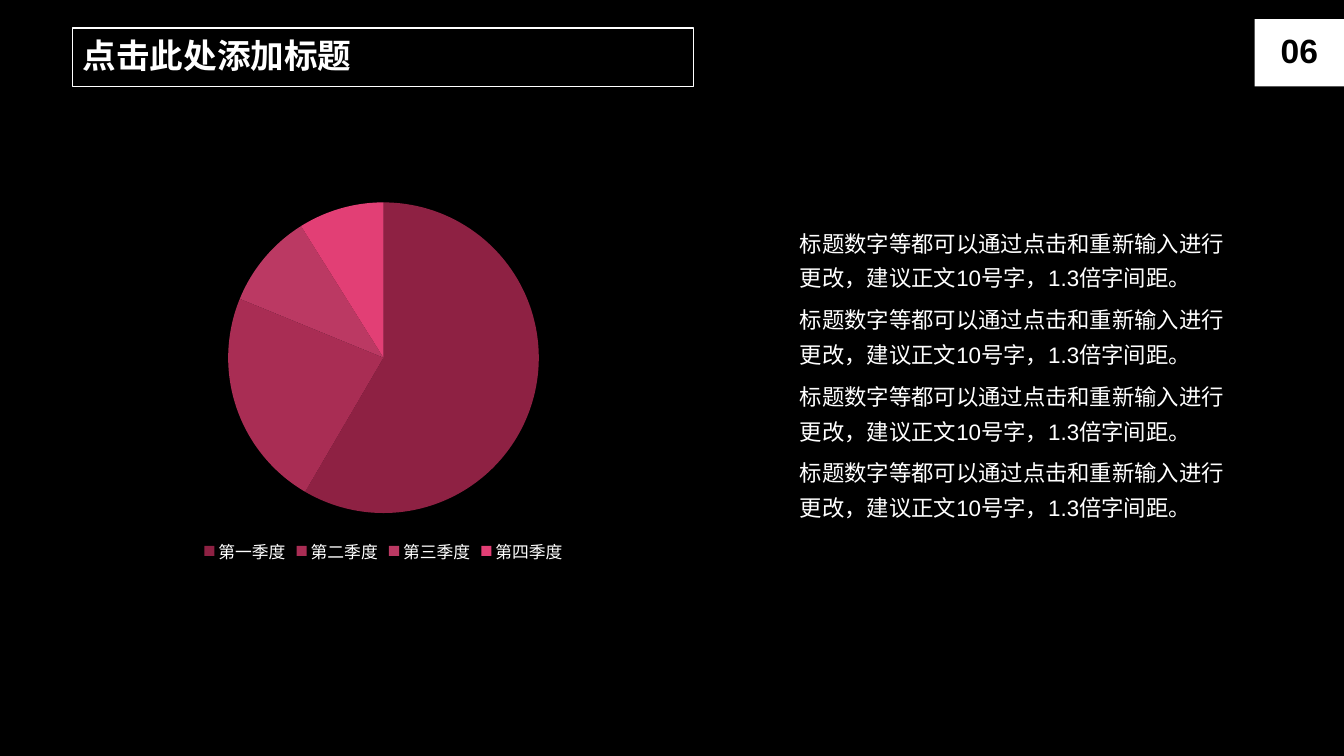
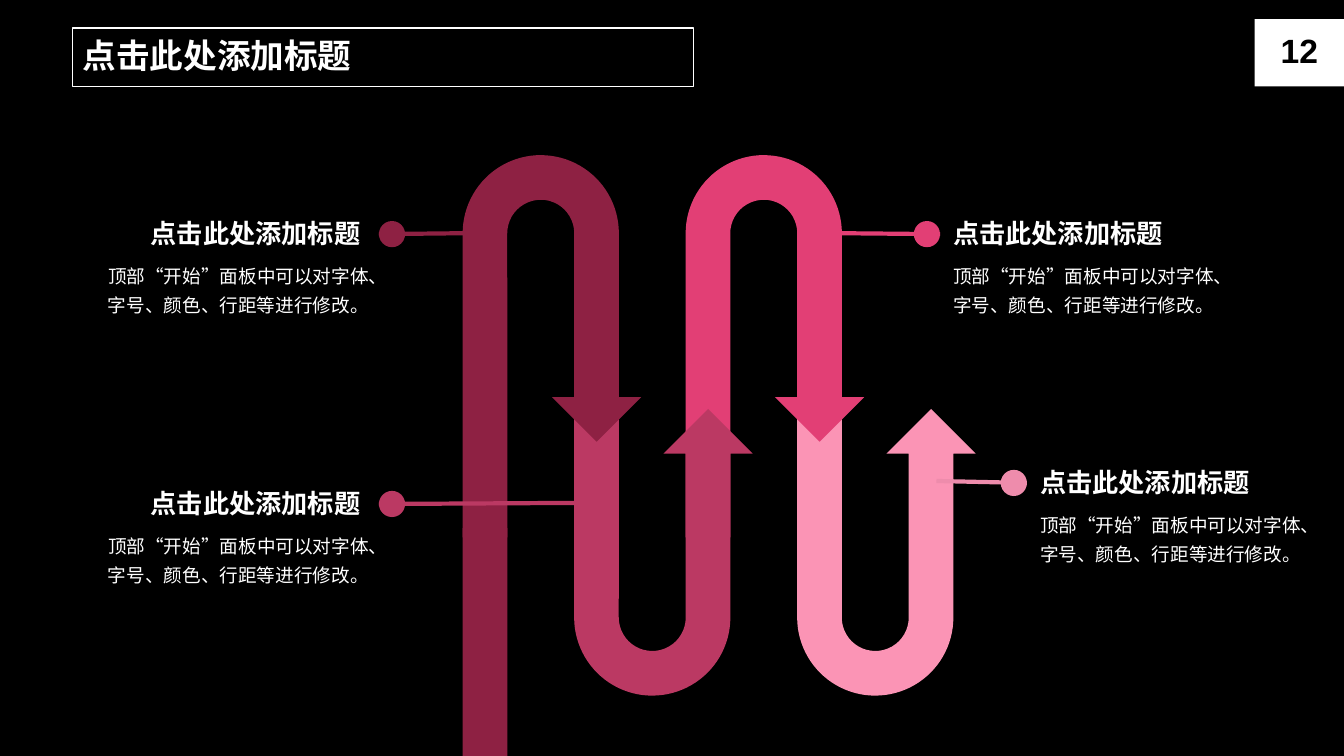
from typing import NamedTuple

from lxml.etree import SubElement
from pptx import Presentation
from pptx.chart.data import CategoryChartData
from pptx.dml.color import RGBColor
from pptx.enum.chart import XL_CHART_TYPE as ChartType, XL_LEGEND_POSITION as LegendPosition
from pptx.enum.shapes import MSO_CONNECTOR as Connector, MSO_SHAPE as Shape
from pptx.enum.text import MSO_ANCHOR as Anchor, MSO_AUTO_SIZE as AutoSize, PP_ALIGN as Align
from pptx.oxml.ns import qn
from pptx.util import Cm, Pt

FONT = "Arial"
BLACK, WHITE = "000000", "FFFFFF"
WINE, RUBY, ROSE, PINK, PALE, DUSTY = "8E2143", "A92D54", "BB3963", "E23F75", "FB94B5", "EE8CAC"

TITLE = "点击此处添加标题"
NOTE = "标题数字等都可以通过点击和重新输入进行更改，建议正文10号字，1.3倍字间距。"
HINT = "顶部“开始”面板中可以对字体、字号、颜色、行距等进行修改。"


class Box(NamedTuple):
    """A rectangle in centimetres."""
    left: float
    top: float
    width: float
    height: float

    def lengths(self):
        return [Cm(value) for value in self]


SLIDE = Box(0, 0, 33.87, 19.05)
TITLE_BOX = Box(1.83, 0.71, 15.65, 1.47)
BADGE_BOX = Box(31.62, 0.48, 2.25, 1.7)


def color(hex_value):
    return RGBColor.from_string(hex_value)


def write(frame, text, size=16, ink=WHITE, bold=False, align=Align.LEFT,
          spacing=1.0, before=0, anchor=Anchor.TOP, wrap=True, fit=AutoSize.NONE):
    frame.word_wrap = wrap
    frame.auto_size = fit
    frame.vertical_anchor = anchor
    paragraph = frame.paragraphs[0]
    paragraph.alignment = align
    paragraph.line_spacing = spacing
    paragraph.space_before = Pt(before)
    run = paragraph.add_run()
    run.text = text
    run.font.name = FONT
    run.font.size = Pt(size)
    run.font.bold = bold
    run.font.color.rgb = color(ink)


def add_text(slide, box, text, **style):
    shape = slide.shapes.add_textbox(*box.lengths())
    write(shape.text_frame, text, fit=AutoSize.SHAPE_TO_FIT_TEXT, **style)


def add_filled(slide, kind, box, fill):
    shape = slide.shapes.add_shape(kind, *box.lengths())
    shape.shadow.inherit = False
    shape.fill.solid()
    shape.fill.fore_color.rgb = color(fill)
    shape.line.fill.background()
    return shape


def add_line(slide, start, end, ink):
    line = slide.shapes.add_connector(Connector.STRAIGHT, *(Cm(v) for v in (*start, *end)))
    line.line.color.rgb = color(ink)
    line.line.width = Pt(3)
    SubElement(line.element.spPr, qn("a:effectLst"))


def new_slide(presentation, number):
    """Slide with the framed title and the page badge."""
    slide = presentation.slides.add_slide(presentation.slide_layouts[5])
    heading = dict(size=24, bold=True, spacing=0.9, before=10, anchor=Anchor.MIDDLE)
    title = slide.shapes.title
    title.left, title.top, title.width, title.height = TITLE_BOX.lengths()
    title.line.color.rgb = color(WHITE)
    title.line.width = Pt(1)
    write(title.text_frame, TITLE, **heading)
    badge = add_filled(slide, Shape.RECTANGLE, BADGE_BOX, WHITE)
    write(badge.text_frame, number, ink=BLACK, align=Align.CENTER, **heading)
    return slide


# Pie chart slide
def add_quarter_pie(slide, box):
    data = CategoryChartData()
    data.categories = ["第一季度", "第二季度", "第三季度", "第四季度"]
    data.add_series("Series 1", (59, 23, 10, 9))
    chart = slide.shapes.add_chart(ChartType.PIE, *box.lengths(), data).chart
    chart.has_title = False
    chart.has_legend = True
    chart.legend.position = LegendPosition.BOTTOM
    chart.legend.include_in_layout = False
    for font, size in ((chart.font, 10), (chart.legend.font, 12)):
        font.name = FONT
        font.size = Pt(size)
        font.color.rgb = color(WHITE)
    plot = chart.plots[0]
    plot.vary_by_categories = True
    for index, fill in enumerate((WINE, RUBY, ROSE, PINK)):
        point_fill = plot.series[0].points[index].format.fill
        point_fill.solid()
        point_fill.fore_color.rgb = color(fill)


def add_notes_column(slide, box, count=4):
    step = box.height / count
    for index in range(count):
        note = Box(box.left, box.top + index * step, box.width, 2.03)
        add_text(slide, note, NOTE, spacing=1.3)


def build_pie_slide(presentation):
    slide = new_slide(presentation, "06")
    add_quarter_pie(slide, Box(2.11, 4.75, 15.11, 9.55))
    add_notes_column(slide, Box(19.91, 5.46, 11.73, 7.72))


# Winding arrows slide
def add_winding_path(slide, box):
    """Four U-turns, alternately upright and flipped; earlier ones lie on top."""
    step, width, height = 2.81, 4.5, 9.63
    turns = list(enumerate((WINE, ROSE, PINK, PALE)))
    # Draw order: pale, pink, rose, wine
    for index, fill in reversed(turns):
        flipped = index % 2 == 1
        top = box.top + (3.99 if flipped else 0)
        turn = add_filled(slide, Shape.U_TURN_ARROW,
                          Box(box.left + index * step, top, width, height), fill)
        if flipped:
            turn.element.spPr.get_or_add_xfrm().set("flipV", "1")
    # Stem down to the slide's edge
    stem_top = box.top + 9.4
    add_filled(slide, Shape.RECTANGLE,
               Box(box.left, stem_top, width / 4, box.top + box.height - stem_top), WINE)


def add_callout(slide, box, tip, ink, on_left):
    """Heading over a hint, with a dot joined to the path at tip."""
    align = Align.RIGHT if on_left else Align.LEFT
    dot_size = 0.66
    title_left = box.left + (1.4 if on_left else 0)
    dot_left = box.left + box.width if on_left else box.left - 0.74
    dot = Box(dot_left, box.top + 0.21, dot_size, dot_size)
    outer_x = dot_left if on_left else dot_left + dot_size
    add_text(slide, Box(box.left, box.top + 1.02, box.width, box.height - 1.02), HINT,
             size=13.3, spacing=1.3, align=align)
    add_text(slide, Box(title_left, box.top, 5.82, 1.07), TITLE,
             size=18.7, bold=True, align=align, wrap=False)
    add_line(slide, (outer_x, dot.top + dot_size / 2), tip, ink)
    add_filled(slide, Shape.OVAL, dot, ink)


def build_arrows_slide(presentation):
    slide = new_slide(presentation, "12")
    add_winding_path(slide, Box(11.66, 3.91, 12.93, 15.14))
    callouts = [
        (2.11, 5.36, (12.24, 5.87), WINE, True),
        (2.11, 12.16, (14.86, 12.67), ROSE, True),
        (23.77, 5.36, (20.5, 5.87), PINK, False),
        (25.96, 11.63, (23.6, 12.12), DUSTY, False),
    ]
    for left, top, tip, ink, on_left in callouts:
        add_callout(slide, Box(left, top, 7.44, 3.51), tip, ink, on_left)


def main():
    presentation = Presentation()
    presentation.slide_width, presentation.slide_height = Cm(SLIDE.width), Cm(SLIDE.height)
    background = presentation.slide_master.background.fill
    background.solid()
    background.fore_color.rgb = color(BLACK)
    build_pie_slide(presentation)
    build_arrows_slide(presentation)
    presentation.save("out.pptx")


if __name__ == "__main__":
    main()
